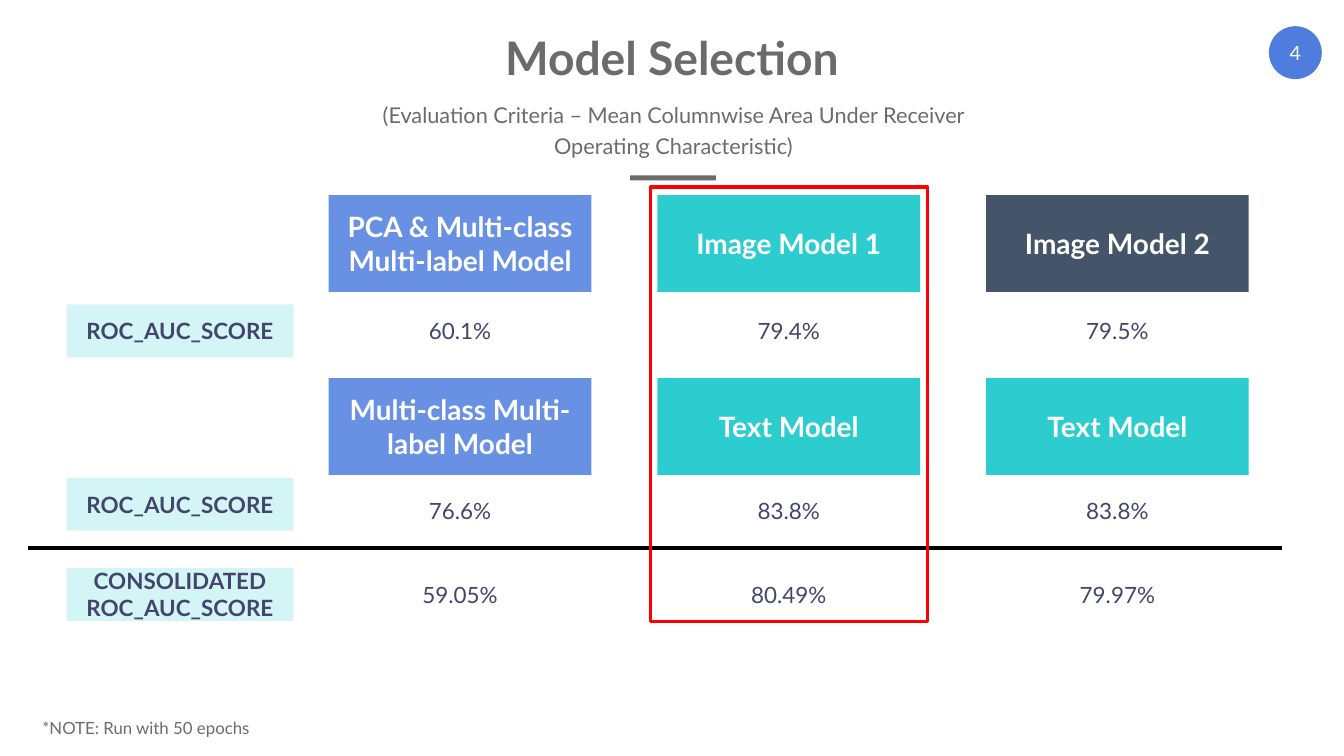
import pptx
import pptx.util
import pptx.dml.color
import pptx.enum.shapes
import pptx.enum.text
import pptx.oxml.ns
import lxml.etree

Inches, Pt = pptx.util.Inches, pptx.util.Pt
SHAPE = pptx.enum.shapes.MSO_SHAPE
ALIGN = pptx.enum.text.PP_ALIGN
ANCHOR = pptx.enum.text.MSO_ANCHOR

COLORS = {
    "grey": "6B6B6B", "badge": "4E7DDE", "blue": "6890E3", "teal": "2CCCCF",
    "slate": "445469", "pale": "D4F5F6", "ink": "42456C", "white": "FFFFFF",
    "black": "000000", "red": "FF0000",
}
FONT = "Lato"

TITLE = "Model Selection"
CRITERIA = "(Evaluation Criteria – Mean Columnwise Area Under Receiver Operating Characteristic)"
NOTE = "*NOTE: Run with 50 epochs"
PAGE = "4"

MODEL_ROWS = [
    (3.87, [("PCA & Multi-class Multi-label Model", "blue"),
            ("Image Model 1", "teal"), ("Image Model 2", "slate")]),
    (7.5, [("Multi-class Multi-label Model", "blue"),
           ("Text Model", "teal"), ("Text Model", "teal")]),
]
SCORE_ROWS = [
    ("ROC_AUC_SCORE", 6.04, 6.03, ["60.1%", "79.4%", "79.5%"]),
    ("ROC_AUC_SCORE", 9.48, 9.6, ["76.6%", "83.8%", "83.8%"]),
    ("CONSOLIDATED ROC_AUC_SCORE", 11.27, 11.27, ["59.05%", "80.49%", "79.97%"]),
]
COLUMN_LEFT, COLUMN_STEP, COLUMN_WIDTH = 6.52, 6.52, 5.21
CARD_HEIGHT, SCORE_HEIGHT = 1.92, 1.05
LABEL_LEFT, LABEL_WIDTH = 1.32, 4.5


def rgb(name):
    return pptx.dml.color.RGBColor.from_string(COLORS[name])


def write(shape, text, size, color, bold=False, align=ALIGN.CENTER,
          anchor=ANCHOR.MIDDLE, inset=(0, 0)):
    frame = shape.text_frame
    frame.text = text
    frame.word_wrap = True
    frame.vertical_anchor = anchor
    frame.margin_left = frame.margin_right = Inches(inset[0])
    frame.margin_top = frame.margin_bottom = Inches(inset[1])
    paragraph = frame.paragraphs[0]
    paragraph.alignment = align
    font = paragraph.runs[0].font
    font.name, font.size, font.bold = FONT, Pt(size), bold
    font.color.rgb = rgb(color)
    return paragraph


def add_block(slide, box, fill=None, kind=SHAPE.RECTANGLE):
    block = slide.shapes.add_shape(kind, *map(Inches, box))
    block.shadow.inherit = False
    block.line.fill.background()
    if fill:
        block.fill.solid()
        block.fill.fore_color.rgb = rgb(fill)
    else:
        block.fill.background()
    return block


def add_text(slide, box, *args, **options):
    return write(slide.shapes.add_textbox(*map(Inches, box)), *args, **options)


def add_spaced_text(slide, box, text, size, align):
    paragraph = add_text(slide, box, text, size, "grey", align=align,
                         anchor=ANCHOR.TOP, inset=(0.24, 0.12))
    paragraph.line_spacing = 1.2
    paragraph.space_before = Pt(size * 0.2)


def add_heading(slide):
    title = slide.shapes.title
    title.left, title.top, title.width, title.height = map(Inches, (6.57, 0.53, 13.52, 1.21))
    write(title, TITLE, 66, "grey", bold=True, anchor=ANCHOR.TOP, inset=(0.1, 0.05))
    add_spaced_text(slide, (6.98, 1.79, 12.75, 1.69), CRITERIA, 31, ALIGN.CENTER)
    add_block(slide, (12.5, 3.48, 1.7, 0.1), "grey")
    badge = add_block(slide, (25.17, 0.52, 1.05, 1.05), "badge", SHAPE.OVAL)
    write(badge, PAGE, 28, "white")


def add_comparison(slide):
    columns = [COLUMN_LEFT + i * COLUMN_STEP for i in range(3)]
    for top, models in MODEL_ROWS:
        for left, (model, fill) in zip(columns, models):
            card = add_block(slide, (left, top, COLUMN_WIDTH, CARD_HEIGHT), fill)
            write(card, model, 40, "white", bold=True)
    for label, label_top, score_top, scores in SCORE_ROWS:
        tag = add_block(slide, (LABEL_LEFT, label_top, LABEL_WIDTH, SCORE_HEIGHT), "pale")
        write(tag, label, 32, "ink", bold=True)
        for left, score in zip(columns, scores):
            add_text(slide, (left, score_top, COLUMN_WIDTH, SCORE_HEIGHT), score, 32, "ink")


def add_divider(slide):
    divider = slide.shapes.add_connector(
        pptx.enum.shapes.MSO_CONNECTOR.STRAIGHT,
        *map(Inches, (0.56, 10.87, 25.44, 10.87)))
    divider.line.color.rgb = rgb("black")
    divider.line.width = Pt(6)
    lxml.etree.SubElement(divider._element.spPr, pptx.oxml.ns.qn("a:effectLst"))


def add_highlight(slide):
    highlight = add_block(slide, (12.9, 3.71, 5.5, 8.62))
    highlight.line.color.rgb = rgb("red")
    highlight.line.width = Pt(4.5)


def main():
    deck = pptx.Presentation()
    deck.slide_width, deck.slide_height = Inches(26.66), Inches(15)
    slide = deck.slides.add_slide(deck.slide_layouts[5])
    add_heading(slide)
    add_comparison(slide)
    add_spaced_text(slide, (0.6, 14.05, 7.99, 0.94), NOTE, 24, ALIGN.LEFT)
    add_divider(slide)
    add_highlight(slide)
    deck.save("out.pptx")


if __name__ == "__main__":
    main()
